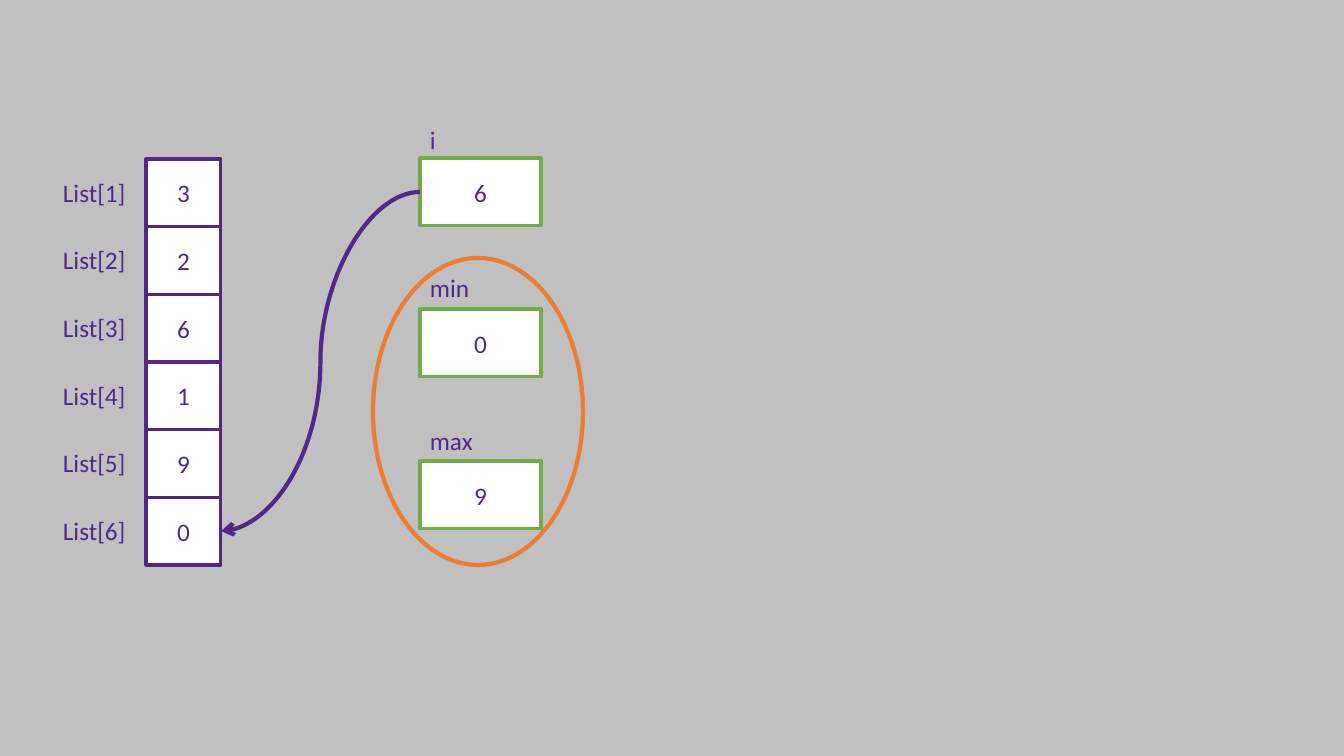
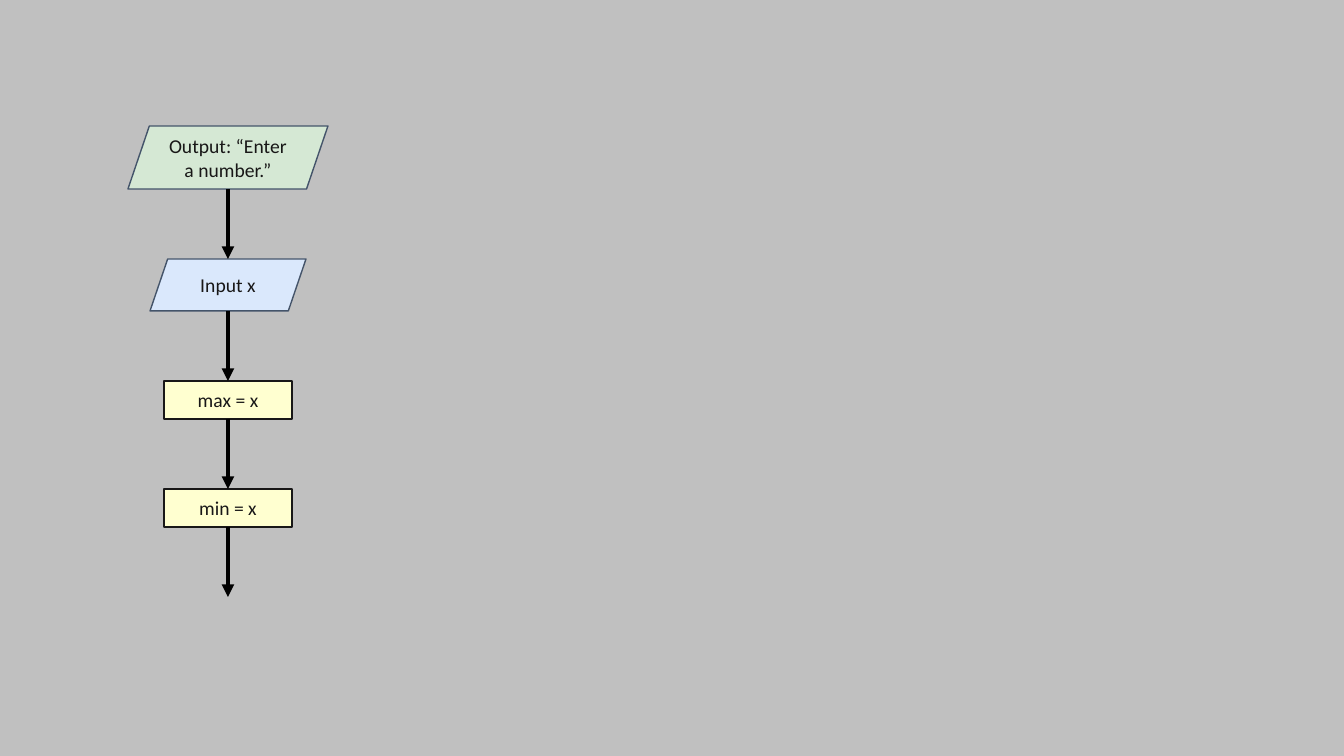
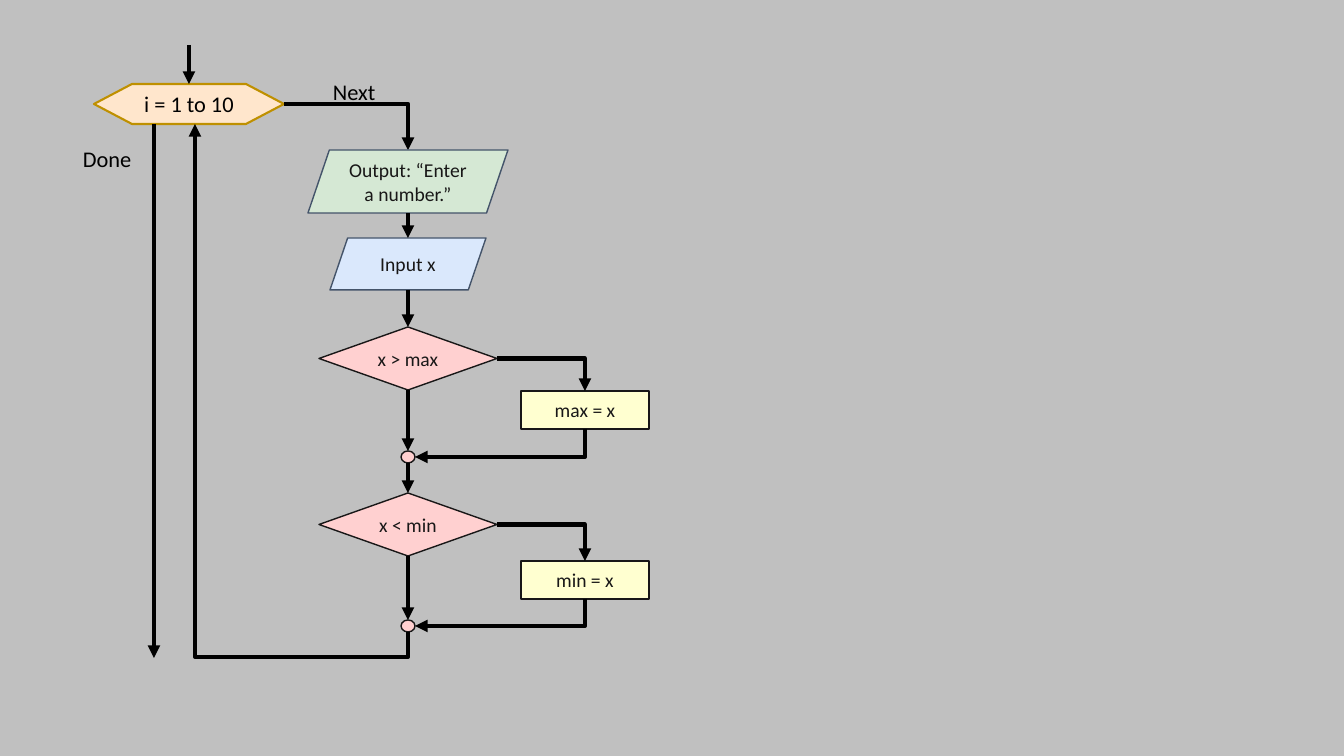
"""Build three slides that trace and chart a minimum and maximum search."""
from lxml import etree
from pptx import Presentation
from pptx import util as u
from pptx.dml.color import RGBColor
from pptx.enum import shapes, text
from pptx.oxml.ns import qn

SLIDE_W, SLIDE_H = 1344, 756
EMU_PER_PX = 12192000 / SLIDE_W
FONT = "Calibri"

GREY = RGBColor(0xC0, 0xC0, 0xC0)
WHITE = RGBColor(0xFF, 0xFF, 0xFF)
BLACK = RGBColor(0x00, 0x00, 0x00)
INK = RGBColor(0x18, 0x17, 0x17)
SLATE = RGBColor(0x44, 0x54, 0x6A)
PURPLE = RGBColor(0x51, 0x28, 0x88)
GREEN = RGBColor(0x70, 0xAD, 0x47)
ORANGE = RGBColor(0xED, 0x7D, 0x31)
GOLD = RGBColor(0xBF, 0x90, 0x00)
MINT = RGBColor(0xD5, 0xE8, 0xD4)
SKY = RGBColor(0xDA, 0xE8, 0xFC)
CREAM = RGBColor(0xFF, 0xFF, 0xD0)
PINK = RGBColor(0xFF, 0xD0, 0xD0)
PEACH = RGBColor(0xFF, 0xE6, 0xCC)

PRESET = shapes.MSO_SHAPE
NODE_KINDS = {
    "output": (PRESET.PARALLELOGRAM, 200, 63, MINT, SLATE),
    "input": (PRESET.PARALLELOGRAM, 156, 52, SKY, SLATE),
    "assign": (PRESET.RECTANGLE, 128, 38, CREAM, INK),
    "test": (PRESET.DIAMOND, 178, 63, PINK, INK),
    "merge": (PRESET.OVAL, 14, 12, PINK, INK),
}
JOINABLE = (PRESET.RECTANGLE, PRESET.DIAMOND, PRESET.FLOWCHART_PREPARATION)

LIST_VALUES = ["3", "2", "6", "1", "9", "0"]
LIST_LEFT, LIST_TOP, LIST_W, LIST_H = 146, 159, 75, 406
VARIABLES = [("i", "6", 158, 119, 26), ("min", "0", 309, 267, 59), ("max", "9", 461, 420, 63)]
VARIABLE_LEFT, VARIABLE_W, VARIABLE_H = 420, 121, 68

PROMPT = "Output: “Enter a number.”"
SETUP_X, SETUP_TOP, SETUP_GAP = 228, 126, 70
SETUP = [("output", PROMPT), ("input", "Input x"), ("assign", "max = x"), ("assign", "min = x")]

LOOP_X, BRANCH_X = 408, 585
LOOP = [
    ("output", PROMPT, 150), ("input", "Input x", 238),
    ("test", "x > max", 327), ("merge", "", 451),
    ("test", "x < min", 493), ("merge", "", 620),
]
BRANCHES = [("max = x", 391, 2, 3), ("min = x", 561, 4, 5)]
LOOP_HEAD = "i = 1 to 10"
HEAD_LEFT, HEAD_TOP, HEAD_W, HEAD_H = 94, 84, 190, 40
ENTRY_TOP, DONE_X, RETURN_X, LOOP_BOTTOM = 45, 154, 195, 657
LOOP_LABELS = [("Next", 323, 73, 109), ("Done", 73, 140, 82)]


def px(length):
    return round(length * EMU_PER_PX)


def write(shape, content, size, color):
    shape.text_frame.text = content
    font = shape.text_frame.paragraphs[0].runs[0].font
    font.name, font.size, font.color.rgb = FONT, u.Pt(size), color


def add_box(slide, preset, box, fill, line, weight, content="", size=14, color=INK):
    shape = slide.shapes.add_shape(preset, *map(px, box))
    shape.shadow.inherit = False
    if fill is None:
        shape.fill.background()
    else:
        shape.fill.solid()
        shape.fill.fore_color.rgb = fill
    shape.line.color.rgb, shape.line.width = line, u.Pt(weight)
    if content:
        write(shape, content, size, color)
        shape.text_frame.word_wrap = True
        shape.text_frame.vertical_anchor = text.MSO_ANCHOR.MIDDLE
        shape.text_frame.paragraphs[0].alignment = text.PP_ALIGN.CENTER
    return shape


def add_label(slide, box, content, size, color, wrap):
    label = slide.shapes.add_textbox(*map(px, box))
    write(label, content, size, color)
    label.text_frame.word_wrap = wrap
    label.text_frame.auto_size = text.MSO_AUTO_SIZE.SHAPE_TO_FIT_TEXT


def add_arrow(slide, kind, start, end, color=BLACK, head="triangle"):
    arrow = slide.shapes.add_connector(kind, *map(px, start + end))
    arrow.line.color.rgb, arrow.line.width = color, u.Pt(3)
    properties = arrow._element.spPr
    etree.SubElement(properties.find(qn("a:ln")), qn("a:tailEnd"), type=head)
    etree.SubElement(properties, qn("a:effectLst"))
    return arrow


def add_straight(slide, start, end, source=None, target=None):
    arrow = add_arrow(slide, shapes.MSO_CONNECTOR.STRAIGHT, start, end)
    if source is not None and source.auto_shape_type in JOINABLE:
        arrow.begin_connect(source, 2)
    if target is not None and target.auto_shape_type in JOINABLE:
        arrow.end_connect(target, 0)


def add_elbow(slide, start, end, downward=False, overshoot=0):
    (x1, y1), (x2, y2) = start, end
    if downward:
        mid_x, mid_y = (x1 + x2) / 2, (y1 + y2) / 2
        run, drop = y2 - y1, abs(x2 - x1)
        start = (mid_x - run / 2, mid_y - drop / 2)
        end = (mid_x + run / 2, mid_y + drop / 2)
    elbow = add_arrow(slide, shapes.MSO_CONNECTOR.ELBOW, start, end)
    properties = elbow._element.spPr
    if downward:
        properties.find(qn("a:xfrm")).set("rot", "5400000")
    geometry = properties.find(qn("a:prstGeom"))
    if overshoot:
        share = round(-overshoot / abs(y2 - y1) * 100000)
        guides = geometry.find(qn("a:avLst"))
        if guides is None:
            guides = etree.SubElement(geometry, qn("a:avLst"))
        etree.SubElement(guides, qn("a:gd"), name="adj1", fmla=f"val {share}")
    else:
        geometry.set("prst", "bentConnector2")


def add_node(slide, kind, content, center_x, top):
    preset, width, height, fill, line = NODE_KINDS[kind]
    node = add_box(slide, preset, (center_x - width / 2, top, width, height), fill, line, 1, content)
    if preset == PRESET.PARALLELOGRAM:
        node.adjustments[0] = 0.34
    return node


def add_flow(slide, steps, center_x):
    nodes = [add_node(slide, kind, content, center_x, top) for kind, content, top in steps]
    bottoms = [top + NODE_KINDS[kind][2] for kind, _, top in steps]
    for i in range(1, len(steps)):
        add_straight(slide, (center_x, bottoms[i - 1]), (center_x, steps[i][2]), nodes[i - 1], nodes[i])
    return nodes, bottoms


def build_trace(slide):
    cell_h = LIST_H / len(LIST_VALUES)
    for i, value in enumerate(LIST_VALUES):
        top = LIST_TOP + i * cell_h
        add_box(slide, PRESET.RECTANGLE, (LIST_LEFT, top, LIST_W, cell_h),
                WHITE, PURPLE, 2.25, value, 18, PURPLE)
        add_label(slide, (53, top + 13, 84, 40), f"List[{i + 1}]", 18, PURPLE, False)
    for name, value, top, label_top, label_w in VARIABLES:
        add_box(slide, PRESET.RECTANGLE, (VARIABLE_LEFT, top, VARIABLE_W, VARIABLE_H),
                WHITE, GREEN, 2.25, value, 18, PURPLE)
        add_label(slide, (VARIABLE_LEFT, label_top, label_w, 40), name, 18, PURPLE, False)
    index_y = VARIABLES[0][2] + VARIABLE_H / 2
    last_y = LIST_TOP + LIST_H - cell_h / 2
    add_arrow(slide, shapes.MSO_CONNECTOR.CURVE, (VARIABLE_LEFT, index_y),
              (LIST_LEFT + LIST_W, last_y), PURPLE, "arrow")
    add_box(slide, PRESET.OVAL, (373, 258, 210, 307), None, ORANGE, 3)


def build_setup(slide):
    steps, top = [], SETUP_TOP
    for kind, content in SETUP:
        steps.append((kind, content, top))
        top += NODE_KINDS[kind][2] + SETUP_GAP
    nodes, bottoms = add_flow(slide, steps, SETUP_X)
    add_straight(slide, (SETUP_X, bottoms[-1]), (SETUP_X, top), nodes[-1])


def build_loop(slide):
    head_x, head_y = HEAD_LEFT + HEAD_W / 2, HEAD_TOP + HEAD_H / 2
    head_bottom = HEAD_TOP + HEAD_H
    head = add_box(slide, PRESET.FLOWCHART_PREPARATION, (HEAD_LEFT, HEAD_TOP, HEAD_W, HEAD_H),
                   PEACH, GOLD, 1.5, LOOP_HEAD, 16, BLACK)
    add_straight(slide, (head_x, ENTRY_TOP), (head_x, HEAD_TOP), target=head)
    add_straight(slide, (DONE_X, head_bottom), (DONE_X, LOOP_BOTTOM + 1))
    add_elbow(slide, (HEAD_LEFT + HEAD_W, head_y), (LOOP_X, LOOP[0][2]))
    for content, left, top, width in LOOP_LABELS:
        add_label(slide, (left, top, width, 37), content, 16, BLACK, True)

    _, bottoms = add_flow(slide, LOOP, LOOP_X)
    add_elbow(slide, (LOOP_X, bottoms[-1]), (RETURN_X, head_bottom), True, LOOP_BOTTOM - bottoms[-1])
    _, test_w, test_h, *_ = NODE_KINDS["test"]
    _, merge_w, merge_h, *_ = NODE_KINDS["merge"]
    for content, top, test, merge in BRANCHES:
        add_node(slide, "assign", content, BRANCH_X, top)
        add_elbow(slide, (LOOP_X + test_w / 2, LOOP[test][2] + test_h / 2), (BRANCH_X, top))
        add_elbow(slide, (BRANCH_X, top + NODE_KINDS["assign"][2]),
                  (LOOP_X + merge_w / 2, LOOP[merge][2] + merge_h / 2), True)


def main():
    deck = Presentation()
    deck.slide_width, deck.slide_height = px(SLIDE_W), px(SLIDE_H)
    backdrop = deck.slide_master.background.fill
    backdrop.solid()
    backdrop.fore_color.rgb = GREY
    for build in (build_trace, build_setup, build_loop):
        build(deck.slides.add_slide(deck.slide_layouts[6]))
    deck.save("out.pptx")


if __name__ == "__main__":
    main()
